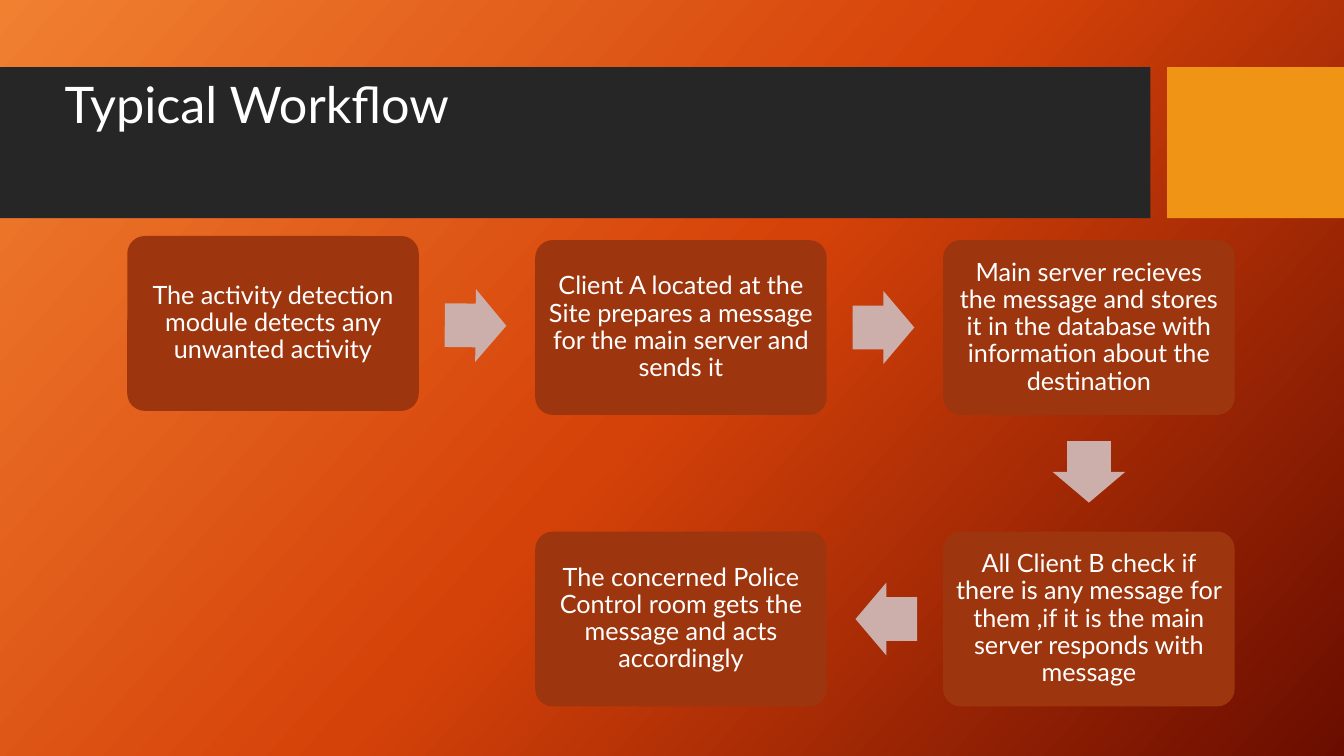
from copy import deepcopy
from itertools import pairwise
from math import atan2, cos, degrees, sin

from pptx import Presentation
from pptx.dml.color import RGBColor
from pptx.enum.shapes import MSO_SHAPE as Shape
from pptx.enum.text import MSO_ANCHOR as Anchor, PP_ALIGN as Align
from pptx.oxml.ns import qn
from pptx.util import Pt

WHITE = "FFFFFF"
BACKGROUND_STOPS = [(0, "F18031"), (0.5, "D54209"), (1, "6A0D00")]
BACKGROUND_ANGLE = 42
STEP_SIZE = (208.2, 124.9)
ARROW_SIZE = (44, 52)
PITCH = (291.4, 208.2)

# Column, row, vertical nudge and wording of each step, in order
STEPS = [
    (0, 0, -2.9, "The activity detection module detects any unwanted activity"),
    (1, 0, 0, "Client A located at the Site prepares a message for the main "
              "server and sends it"),
    (2, 0, 0, "Main server recieves the message and stores it in the database "
              "with information about the destination"),
    (2, 1, 0, "All Client B check if there is any message for them ,if it is "
              "the main server responds with message"),
    (1, 1, 0, "The concerned Police Control room gets the message and acts "
              "accordingly"),
]


def color(value):
    return RGBColor.from_string(value)


def set_format(target, values):
    for name, value in values.items():
        setattr(target, name, value)


def add_block(page, kind, box, fill):
    block = page.shapes.add_shape(kind, *map(Pt, box))
    block.shadow.inherit = False
    block.fill.solid()
    block.fill.fore_color.rgb = color(fill)
    block.line.fill.background()
    return block


def write_text(shape, text, size, align, inset):
    frame = shape.text_frame
    set_format(frame, {
        "text": text, "word_wrap": True, "vertical_anchor": Anchor.MIDDLE,
        "margin_left": Pt(inset[0]), "margin_right": Pt(inset[0]),
        "margin_top": Pt(inset[1]), "margin_bottom": Pt(inset[1]),
    })
    para = frame.paragraphs[0]
    set_format(para, {"alignment": align, "line_spacing": 0.9})
    set_format(para.font, {"name": "Lato", "size": Pt(size)})
    para.font.color.rgb = color(WHITE)


def paint_background(page):
    fill = page.background.fill
    fill.gradient()
    fill.gradient_angle = 360 - BACKGROUND_ANGLE
    # A new gradient has two stops; add the third
    stop_list = next(page.element.iter(qn("a:gsLst")))
    stop_list.append(deepcopy(stop_list[0]))
    for stop, (position, value) in zip(fill.gradient_stops, BACKGROUND_STOPS):
        stop.position = position
        stop.color.rgb = color(value)


def add_header(page, box):
    left, top, width, height = box
    accent_width, gap = 126.4, 11.8
    band_width = width - accent_width - gap
    add_block(page, Shape.RECTANGLE, (left, top, band_width, height), "262626")
    add_block(page, Shape.RECTANGLE,
              (left + band_width + gap, top, accent_width, height), "F09415")

    # Title, raised above the middle of the band
    title = page.shapes.title
    set_format(title, {"left": Pt(left + 39), "top": Pt(top - 26.4),
                       "width": Pt(741), "height": Pt(110)})
    write_text(title, "Typical Workflow", 36, Align.LEFT, (7.2, 3.6))
    # Bring the title in front of the band
    page.shapes.element.append(title.element)


def add_step(page, center, text):
    width, height = STEP_SIZE
    box = (center[0] - width / 2, center[1] - height / 2, width, height)
    step = add_block(page, Shape.ROUNDED_RECTANGLE, box, "9D360E")
    step.adjustments[0] = 0.1
    # The rounded corners add their own inset to this one
    write_text(step, text, 18, Align.CENTER, (5, 5))


def add_arrow(page, start, end):
    angle = atan2(end[1] - start[1], end[0] - start[0])
    width, height = ARROW_SIZE
    # The arrow sits one point short of halfway
    x = (start[0] + end[0]) / 2 - cos(angle)
    y = (start[1] + end[1]) / 2 - sin(angle)
    arrow = add_block(page, Shape.RIGHT_ARROW,
                      (x - width / 2, y - height / 2, width, height), "CCAEAB")
    arrow.adjustments[0] = 0.6
    arrow.adjustments[1] = 0.5
    arrow.rotation = degrees(angle)


def add_workflow(page, origin):
    centers = [
        (origin[0] + column * PITCH[0] + STEP_SIZE[0] / 2,
         origin[1] + row * PITCH[1] + STEP_SIZE[1] / 2 + nudge)
        for column, row, nudge, _ in STEPS
    ]
    for center, (*_, text) in zip(centers, STEPS):
        add_step(page, center, text)
    for start, end in pairwise(centers):
        add_arrow(page, start, end)


def main():
    deck = Presentation()
    deck.slide_width, deck.slide_height = Pt(960), Pt(540)
    page = deck.slides.add_slide(deck.slide_layouts[5])
    paint_background(page)
    add_header(page, (0, 48, 960, 107.8))
    add_workflow(page, (90.9, 171.5))
    deck.save("out.pptx")


if __name__ == "__main__":
    main()
